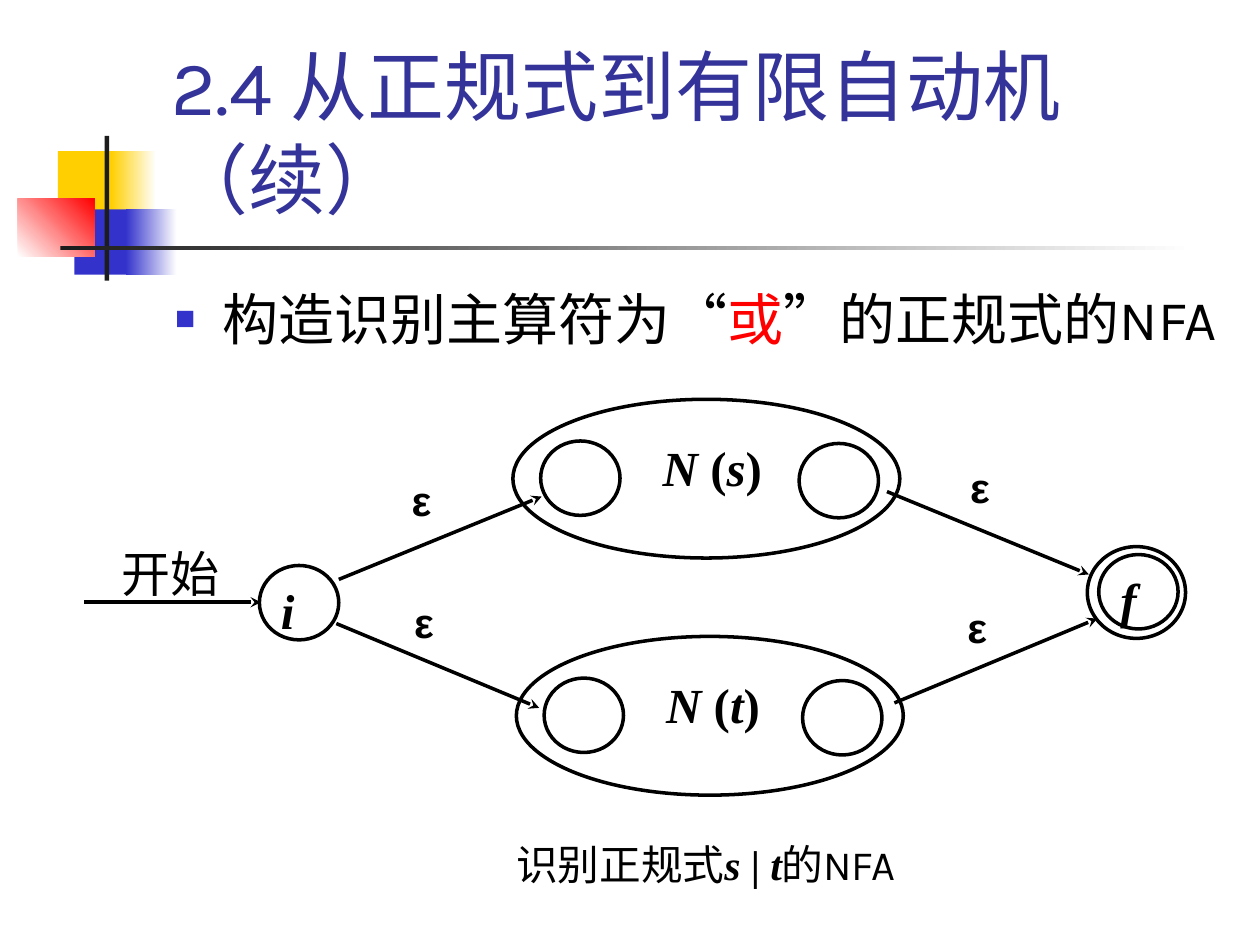
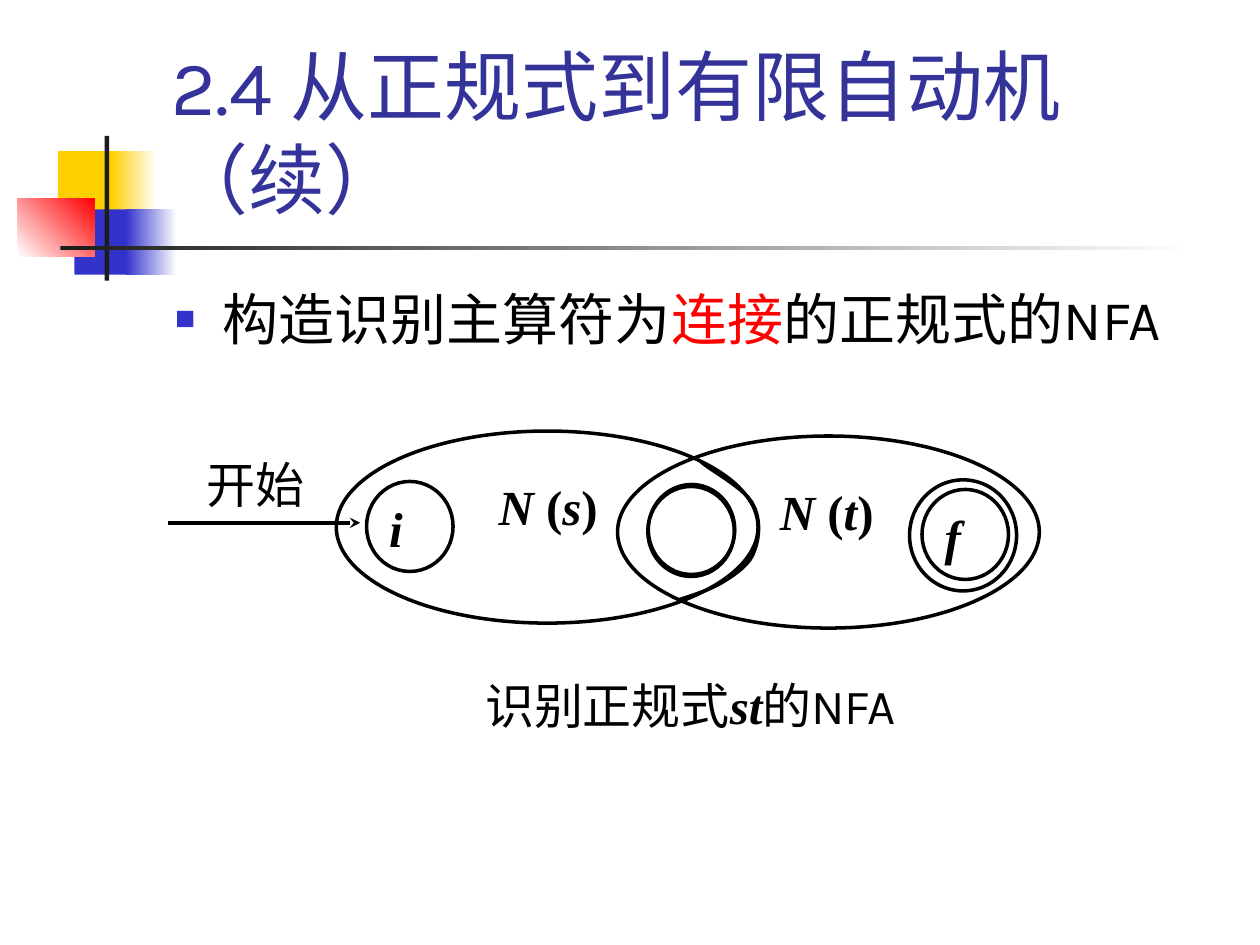
"""Two slides on building an NFA from a regular expression."""
from lxml.etree import SubElement as Sub
from pptx import Presentation
from pptx.dml.color import RGBColor as RGB
from pptx.enum.shapes import MSO_CONNECTOR as Link, MSO_SHAPE as Kind
from pptx.enum.text import MSO_ANCHOR as Anchor, PP_ALIGN as Align
from pptx.oxml.ns import qn
from pptx.util import Cm, Pt

HUES = {
    "ink": "000000", "title": "333399", "gold": "FFCF01", "blue": "3333CC",
    "red": "FF0000", "dark": "1C1C1C", "white": "FFFFFF",
}
SERIF, LATIN, HAN, SANS = "Times New Roman", "Karla", "Noto Sans CJK SC", "Arial"
TITLE = "2.4 从正规式到有限自动机（续）"
BOLD = {"bold": True}
SLANT = {"bold": True, "italic": True}
SMALL_PAD = (0.15, 0.08, 0.15, 0.08)
PAD = (0.25, 0.13, 0.25, 0.13)
LABEL_PAD = (0.23, 0.08, 0.25, 0.13)
STATE_PAD = (0.2, 0.08, 0.05, 0.05)


def hue(name):
    return RGB.from_string(HUES[name])


def curve(pts, steps=8):
    """Return points along a chain of cubic curves."""
    out = [pts[0]]
    for n in range(0, len(pts) - 1, 3):
        a, b, c, d = pts[n:n + 4]
        for step in range(1, steps + 1):
            t = step / steps
            u = 1 - t
            out.append(tuple(
                u**3 * p + 3 * u * u * t * q + 3 * u * t * t * r + t**3 * s
                for p, q, r, s in zip(a, b, c, d)))
    return out


class Page:
    """One slide with the shared style and a scale for its automata."""

    def __init__(self, deck, kx=1, ky=1):
        self.shapes = deck.slides.add_slide(deck.slide_layouts[6]).shapes
        self.kx, self.ky = kx, ky
        self.decor()
        self.text((3.2, 0.58, 21.64, 4.06), [(TITLE, {})], 44, LATIN,
                  color="title", pad=PAD, anchor=Anchor.BOTTOM)

    def decor(self):
        self.block((1.17, 3.05, 1.22, 1.32), "gold")
        self.block((2.24, 3.05, 0.91, 1.32), "gold", "white")
        self.block((1.5, 4.22, 1.17, 1.32), "blue")
        self.block((2.54, 4.22, 1.02, 1.32), "blue", "white")
        self.block((0.36, 4.01, 1.55, 1.17), "white", "red", 45)
        self.block((2.11, 2.74, 0.09, 2.92), "dark")
        self.block((1.22, 4.95, 22.86, 0.09), "dark", "white")

    def block(self, box, color, fade=None, angle=0):
        shape = self.shapes.add_shape(Kind.RECTANGLE, *map(Cm, box))
        shape.shadow.inherit = False
        shape.line.fill.background()
        if fade:
            shape.fill.gradient()
            shape.fill.gradient_angle = angle
            for stop, name in zip(shape.fill.gradient_stops, (color, fade)):
                stop.color.rgb = hue(name)
        else:
            shape.fill.solid()
            shape.fill.fore_color.rgb = hue(color)

    def put(self, frame, runs, size, font, color="ink", pad=SMALL_PAD,
            anchor=Anchor.TOP, align=Align.LEFT, gap=None, bullet=False, base={}):
        frame.word_wrap = True
        frame.vertical_anchor = anchor
        (frame.margin_left, frame.margin_top,
         frame.margin_right, frame.margin_bottom) = map(Cm, pad)
        para = frame.paragraphs[0]
        para.alignment = align
        para.line_spacing = gap
        if bullet:
            self.bullet(para)
        self.style(para.font, name=font, size=Pt(size), color=color, **base)
        Sub(para.font._element, qn("a:ea"), typeface=HAN)
        for words, look in runs:
            run = para.add_run()
            run.text = words
            self.style(run.font, **look)

    def style(self, font, color=None, **look):
        for key, value in look.items():
            setattr(font, key, value)
        if color:
            font.color.rgb = hue(color)

    def bullet(self, para):
        props = para._p.get_or_add_pPr()
        props.set("marL", str(Cm(0.96)))
        props.set("indent", str(Cm(-0.96)))
        Sub(Sub(props, qn("a:buClr")), qn("a:srgbClr"), val=HUES["blue"])
        Sub(props, qn("a:buSzPct"), val="60000")
        Sub(props, qn("a:buFont"), typeface=SANS)
        Sub(props, qn("a:buChar"), char="■")

    def text(self, box, runs, size=28, font=SERIF, **look):
        frame = self.shapes.add_textbox(*map(Cm, box)).text_frame
        self.put(frame, runs, size, font, **look)

    def body(self, runs):
        self.text((3.28, 5.61, 21.59, 11.43), runs, 32, HAN, pad=PAD, bullet=True)

    def stroke(self, shape):
        shape.line.color.rgb = hue("ink")
        shape.line.width = Pt(2)

    def oval(self, x, y, wide, high):
        shape = self.shapes.add_shape(
            Kind.OVAL, Cm(x), Cm(y), Cm(wide * self.kx), Cm(high * self.ky))
        shape.shadow.inherit = False
        shape.fill.background()
        self.stroke(shape)
        return shape

    def state(self, x, y, mark="", ring=False):
        if ring:
            self.oval(x - 0.23 * self.kx, y - 0.16 * self.ky, 1.98, 1.85)
        shape = self.oval(x, y, 1.6, 1.5)
        if mark:
            self.put(shape.text_frame, [(mark, {})], 28, SERIF,
                     pad=STATE_PAD, base=SLANT)

    def nfa(self, x, y, name, first="", last="", end=5.77):
        kx, ky = self.kx, self.ky
        self.oval(x, y, 7.8, 3.2)
        self.state(x + 0.56 * kx, y + 0.84 * ky, first)
        self.state(x + end * kx, y + 0.89 * ky, last, ring=bool(last))
        runs = [("N ", SLANT), ("(", {}), (name, SLANT), (")", {})]
        self.text((x + 2.79 * kx, y + 0.69 * ky, 2.72 * kx, 1.78 * ky), runs,
                  pad=LABEL_PAD, align=Align.JUSTIFY, base=BOLD)

    def arrow(self, *ends):
        link = self.shapes.add_connector(Link.STRAIGHT, *map(Cm, ends))
        self.stroke(link)
        props = link._element.spPr
        Sub(props.find(qn("a:ln")), qn("a:tailEnd"), type="stealth")
        Sub(props, qn("a:effectLst"))

    def start(self, box, *ends):
        self.text(box, [("开始", {})], align=Align.JUSTIFY)
        self.arrow(*ends)

    def arc(self, pts):
        spots = [(Cm(x), Cm(y)) for x, y in curve(pts)]
        pen = self.shapes.build_freeform(*spots[0])
        pen.add_line_segments(spots[1:], close=False)
        shape = pen.convert_to_shape()
        shape.shadow.inherit = False
        shape.fill.background()
        self.stroke(shape)


def union(deck):
    page = Page(deck)
    page.body([("构造识别主算符为", {}), ("“", {"name": SANS}),
               ("或", {"color": "red"}), ("”", {"name": SANS}),
               ("的正规式的", {}), ("NFA", {"name": LATIN})])
    page.start((2.31, 10.87, 2.59, 1.42), 1.7, 12.14, 5.26, 12.14)
    page.state(5.23, 11.4, "i")
    page.state(22.15, 11.18, "f", ring=True)
    page.nfa(10.34, 8.05, "s")
    page.nfa(10.41, 12.83, "t")
    for ends in ((6.83, 11.68, 10.92, 10.01), (6.78, 12.57, 10.87, 14.27),
                 (18.03, 14.17, 22.12, 12.47), (17.88, 9.91, 21.95, 11.58)):
        page.arrow(*ends)
    for x, y in ((8.15, 9.6), (8.2, 12.07), (19.41, 9.35), (19.35, 12.17)):
        page.text((x, y, 1.3, 1.19), [("ε", {})], 23.8, SANS,
                  align=Align.JUSTIFY, gap=0.9, base=BOLD)
    page.text((8.26, 16.94, 11.94, 1.24),
              [("识别正规式", {}), ("s ", SLANT), ("| ", BOLD), ("t", SLANT),
               ("的", {}), ("NFA", {"name": LATIN})],
              23.8, align=Align.CENTER, gap=0.9)


def concat(deck):
    page = Page(deck, 1.09, 1.21)
    page.body([("构造识别主算符为", {}), ("连接", {"color": "red"}),
               ("的正规式的", {}), ("NFA", {"name": LATIN})])
    page.nfa(6.78, 8.69, "s", first="i")
    page.nfa(12.45, 8.79, "t", last="f", end=5.63)
    page.start((4.01, 9.09, 2.84, 1.7), 3.38, 10.54, 7.26, 10.54)
    page.text((7.42, 13.54, 13, 1.52),
              [("识别正规式", {}), ("st", SLANT), ("的", {"name": HAN}),
               ("NFA", {"name": LATIN})], align=Align.CENTER)
    page.arc([(14.12, 9.3), (14.27, 9.45), (14.99, 9.83), (15.16, 10.13),
              (15.34, 10.44), (15.32, 10.82), (15.21, 11.1), (15.14, 11.35),
              (14.86, 11.56), (14.61, 11.71), (14.35, 11.89), (13.84, 12.04),
              (13.69, 12.09)])


def main():
    deck = Presentation()
    deck.slide_width, deck.slide_height = Cm(25.4), Cm(19.05)
    union(deck)
    concat(deck)
    deck.save("out.pptx")


if __name__ == "__main__":
    main()
